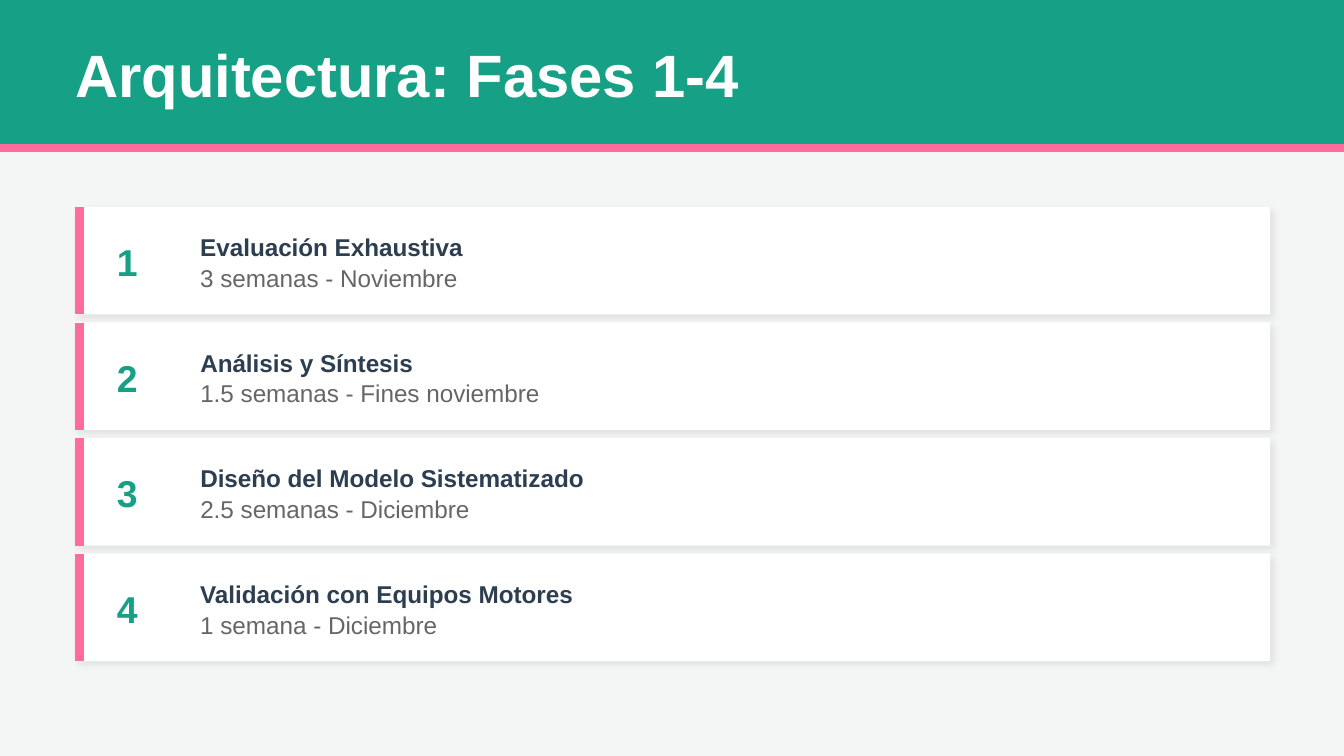
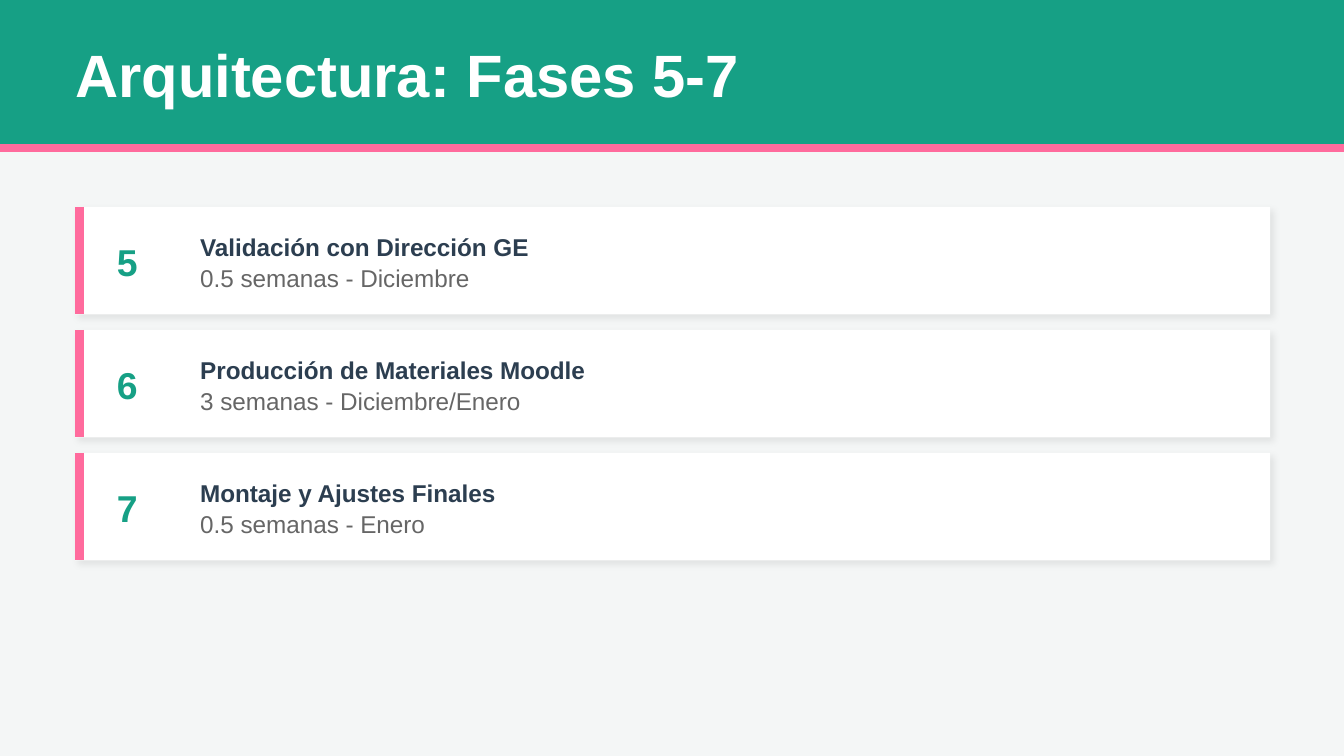
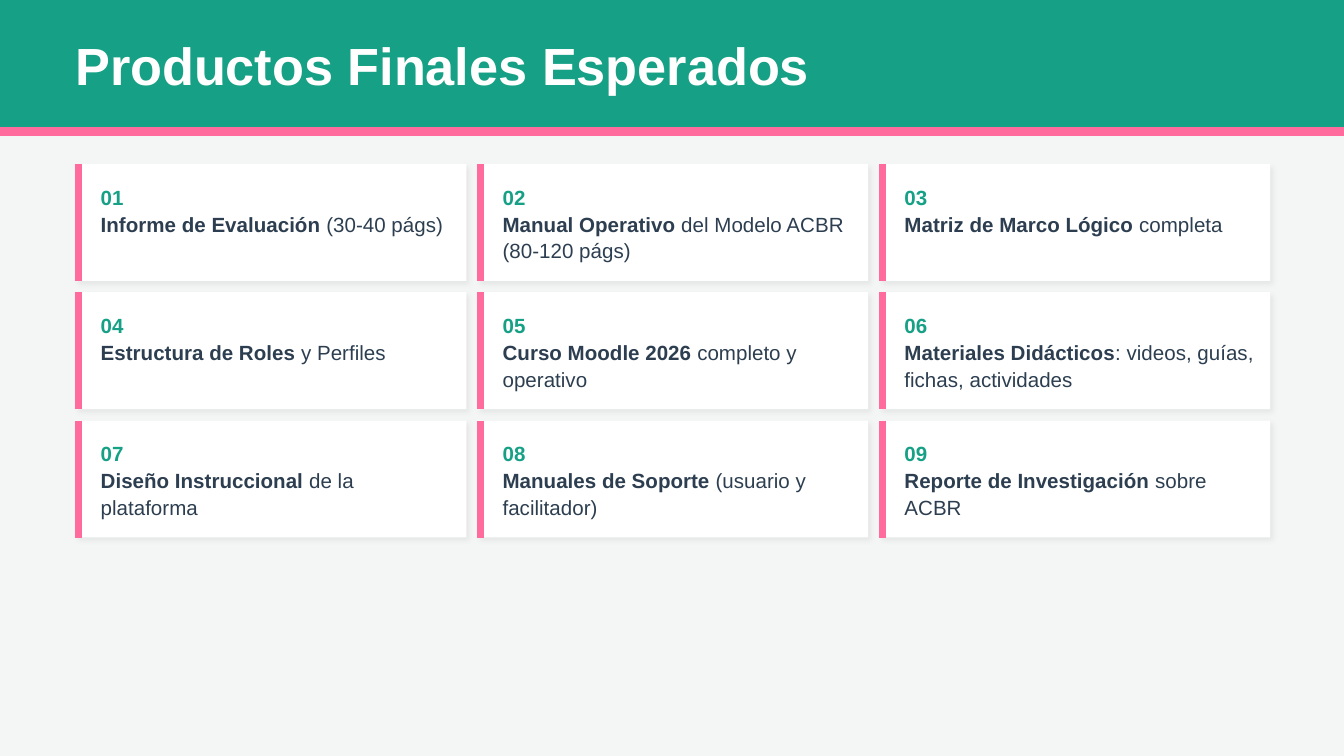
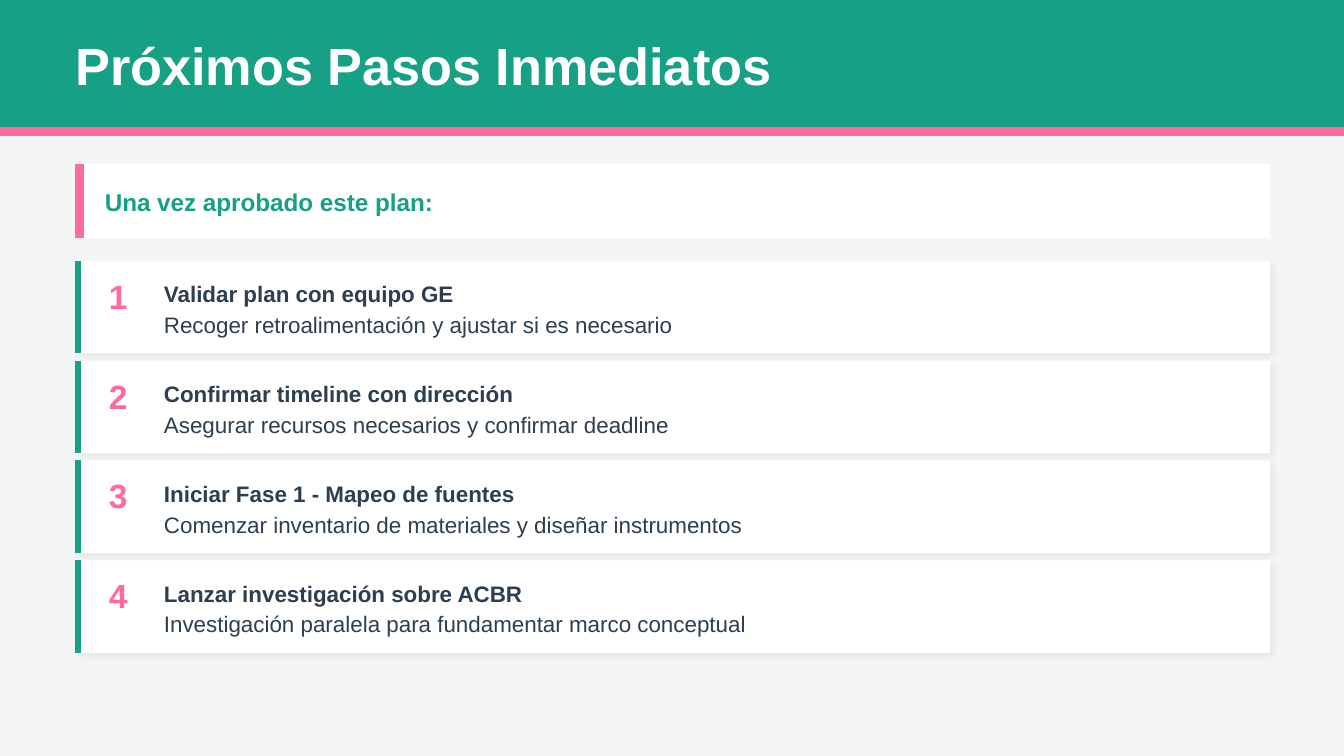
"""Build four slides on the phases, products and next steps of a plan."""
from lxml import etree
from pptx import Presentation
from pptx.dml.color import RGBColor
from pptx.enum.shapes import MSO_CONNECTOR, MSO_SHAPE
from pptx.enum.text import MSO_ANCHOR, MSO_AUTO_SIZE, PP_ALIGN
from pptx.oxml.ns import qn
from pptx.util import Emu, Inches, Pt

RECTANGLE = MSO_SHAPE.RECTANGLE
STRAIGHT = MSO_CONNECTOR.STRAIGHT
TOP = MSO_ANCHOR.TOP
LEFT = PP_ALIGN.LEFT
NO_AUTOSIZE = MSO_AUTO_SIZE.NONE
TITLE_ONLY = 5

FONT = "Arial"
GREEN = "16A085"
PINK = "FF6B9D"
NAVY = "2C3E50"
GRAY = "666666"
WHITE = "FFFFFF"
BACKGROUND = "F4F6F6"

SLIDE_WIDTH = 10
SLIDE_HEIGHT = SLIDE_WIDTH * 9 / 16
MARGIN = 0.56
CARD_WIDTH = 8.89

TALL_HEADER = {"height": 1.13, "top": 0.28, "text_height": 0.51, "size": 32}
SHORT_HEADER = {"height": 1.01, "top": 0.25, "text_height": 0.45, "size": 28}

PHASE_STYLE = {
    "height": 0.8, "accent": PINK, "accent_width": 4.5, "shadow": (7, 3.8),
    "number": (0.31, 0.24, 0.64, 0.32), "number_size": 20, "number_color": GREEN,
    "text_left": 0.93, "text_top": 0.17, "text_size": 13, "spacing": 16.9,
    "detail_color": GRAY,
}
STEP_STYLE = {
    "height": 0.69, "accent": GREEN, "accent_width": 3, "shadow": (5, 3),
    "number": (0.25, 0.11, 0.42, 0.29), "number_size": 18, "number_color": PINK,
    "text_left": 0.66, "text_top": 0.11, "text_size": 12, "spacing": 16.8,
    "detail_color": NAVY,
}
LINE_HEIGHT = 0.23

PHASES_START = [
    ("Evaluación Exhaustiva", "3 semanas - Noviembre", 2),
    ("Análisis y Síntesis", "1.5 semanas - Fines noviembre", 2.58),
    ("Diseño del Modelo Sistematizado", "2.5 semanas - Diciembre", 2.92),
    ("Validación con Equipos Motores", "1 semana - Diciembre", 2.83),
]
PHASES_END = [
    ("Validación con Dirección GE", "0.5 semanas - Diciembre", 2.5),
    ("Producción de Materiales Moodle", "3 semanas - Diciembre/Enero", 2.93),
    ("Montaje y Ajustes Finales", "0.5 semanas - Enero", 2.24),
]
PRODUCTS = [
    ("Informe de Evaluación", " (30-40 págs)", 1),
    ("Manual Operativo", " del Modelo ACBR (80-120 págs)", 2),
    ("Matriz de Marco Lógico", " completa", 1),
    ("Estructura de Roles", " y Perfiles", 1),
    ("Curso Moodle 2026", " completo y operativo", 2),
    ("Materiales Didácticos", ": videos, guías, fichas, actividades", 2),
    ("Diseño Instruccional", " de la plataforma", 2),
    ("Manuales de Soporte", " (usuario y facilitador)", 2),
    ("Reporte de Investigación", " sobre ACBR", 2),
]
STEPS_INTRO = "Una vez aprobado este plan:"
STEPS = [
    ("Validar plan con equipo GE",
     "Recoger retroalimentación y ajustar si es necesario", 3.86),
    ("Confirmar timeline con dirección",
     "Asegurar recursos necesarios y confirmar deadline", 3.84),
    ("Iniciar Fase 1 - Mapeo de fuentes",
     "Comenzar inventario de materiales y diseñar instrumentos", 4.39),
    ("Lanzar investigación sobre ACBR",
     "Investigación paralela para fundamentar marco conceptual", 4.42),
]


def color(value):
    """Return the colour for a hex string."""
    return RGBColor.from_string(value)


def spread(first, last, count):
    """Return evenly spaced positions from first to last."""
    return [first + index * (last - first) / (count - 1) for index in range(count)]


def add_line(page, start, end, stroke, width):
    """Draw a straight line without shadow."""
    line = page.shapes.add_connector(STRAIGHT, *map(Inches, start + end))
    line.line.color.rgb = color(stroke)
    line.line.width = Pt(width)
    etree.SubElement(line._element.spPr, qn("a:effectLst"))


def add_rectangle(page, area, fill, shadow=None):
    """Draw a filled rectangle, with an optional (opacity, blur) shadow."""
    box = page.shapes.add_shape(RECTANGLE, *map(Inches, area))
    box.fill.solid()
    box.fill.fore_color.rgb = color(fill)
    box.line.fill.background()
    box.shadow.inherit = False
    if shadow:
        opacity, blur = shadow
        effects = box._element.spPr.find(qn("a:effectLst"))
        outer = etree.SubElement(
            effects, qn("a:outerShdw"), blurRad=str(Pt(blur)), dist=str(Pt(2.1)),
            dir=str(45 * 60000), algn="bl", rotWithShape="0")
        tint = etree.SubElement(outer, qn("a:srgbClr"), val="000000")
        etree.SubElement(tint, qn("a:alpha"), val=str(opacity * 1000))


def write(box, spans, size, spacing=None):
    """Fill a box with one paragraph of (text, colour, bold) spans."""
    frame = box.text_frame
    frame.word_wrap = True
    frame.auto_size = NO_AUTOSIZE
    frame.vertical_anchor = TOP
    frame.margin_left = frame.margin_right = Emu(0)
    frame.margin_top = frame.margin_bottom = Emu(0)
    para = frame.paragraphs[0]
    para.alignment = LEFT
    if spacing:
        para.line_spacing = Pt(spacing)
    for text, ink, bold in spans:
        span = para.add_run()
        span.text = text
        span.font.name = FONT
        span.font.size = Pt(size)
        span.font.bold = bold
        span.font.color.rgb = color(ink)


def add_text(page, area, spans, size, spacing=None):
    """Add a text box with one paragraph."""
    write(page.shapes.add_textbox(*map(Inches, area)), spans, size, spacing)


def add_card(page, area, accent, accent_width, shadow=None):
    """Draw a white card with a coloured line inside its left edge."""
    left, top, _, height = area
    add_rectangle(page, area, WHITE, shadow)
    middle = left + accent_width / 144
    add_line(page, (middle, top), (middle, top + height), accent, accent_width)


def add_page(deck, title, header):
    """Add a slide with its background, header band and title."""
    page = deck.slides.add_slide(deck.slide_layouts[TITLE_ONLY])
    page.background.fill.solid()
    page.background.fill.fore_color.rgb = color(BACKGROUND)
    add_rectangle(page, (0, 0, SLIDE_WIDTH, header["height"]), GREEN)
    rule = header["height"] - 0.03
    add_line(page, (0, rule), (SLIDE_WIDTH, rule), PINK, 4.5)
    box = page.shapes.title
    box.left, box.top = Inches(MARGIN), Inches(header["top"])
    box.width, box.height = Inches(9.07), Inches(header["text_height"])
    write(box, [(title, WHITE, True)], header["size"])
    box.element.getparent().append(box.element)
    return page


def add_rows(page, rows, style, first, last, start=1):
    """Stack numbered cards, each with a heading and a detail line."""
    tops = spread(first, last, len(rows))
    for number, (top, row) in enumerate(zip(tops, rows), start):
        heading, detail, width = row
        add_card(page, (MARGIN, top, CARD_WIDTH, style["height"]),
                 style["accent"], style["accent_width"], style["shadow"])
        across, down, number_width, number_height = style["number"]
        add_text(page, (MARGIN + across, top + down, number_width, number_height),
                 [(str(number), style["number_color"], True)], style["number_size"])
        left, text_top = MARGIN + style["text_left"], top + style["text_top"]
        lines = [(heading, NAVY, True), (detail, style["detail_color"], False)]
        for index, line in enumerate(lines):
            add_text(page, (left, text_top + index * LINE_HEIGHT, width, LINE_HEIGHT),
                     [line], style["text_size"], style["spacing"])


def add_products(page):
    """Lay out the products in a grid of three columns."""
    columns = spread(MARGIN, 6.54, 3)
    rows = spread(1.22, 3.13, 3)
    for index, (name, rest, line_count) in enumerate(PRODUCTS):
        left, top = columns[index % 3], rows[index // 3]
        add_card(page, (left, top, 2.91, 0.87), PINK, 3.75, (6, 3))
        add_text(page, (left + 0.19, top + 0.14, 2.63, 0.2),
                 [(f"{index + 1:02}", GREEN, True)], 11, 14.3)
        add_text(page, (left + 0.19, top + 0.34, 2.63, 0.2 * line_count),
                 [(name, NAVY, True), (rest, NAVY, False)], 11, 14.3)


def main():
    """Build and save the deck."""
    deck = Presentation()
    deck.slide_width, deck.slide_height = Inches(SLIDE_WIDTH), Inches(SLIDE_HEIGHT)

    page = add_page(deck, "Arquitectura: Fases 1-4", TALL_HEADER)
    add_rows(page, PHASES_START, PHASE_STYLE, 1.54, 4.12)

    page = add_page(deck, "Arquitectura: Fases 5-7", TALL_HEADER)
    add_rows(page, PHASES_END, PHASE_STYLE, 1.54, 3.37, start=5)

    page = add_page(deck, "Productos Finales Esperados", SHORT_HEADER)
    add_products(page)

    page = add_page(deck, "Próximos Pasos Inmediatos", SHORT_HEADER)
    add_card(page, (MARGIN, 1.22, CARD_WIDTH, 0.55), PINK, 4.5)
    add_text(page, (0.78, 1.39, 8.66, 0.22), [(STEPS_INTRO, GREEN, True)], 13)
    add_rows(page, STEPS, STEP_STYLE, 1.94, 4.17)

    deck.save("out.pptx")


if __name__ == "__main__":
    main()
